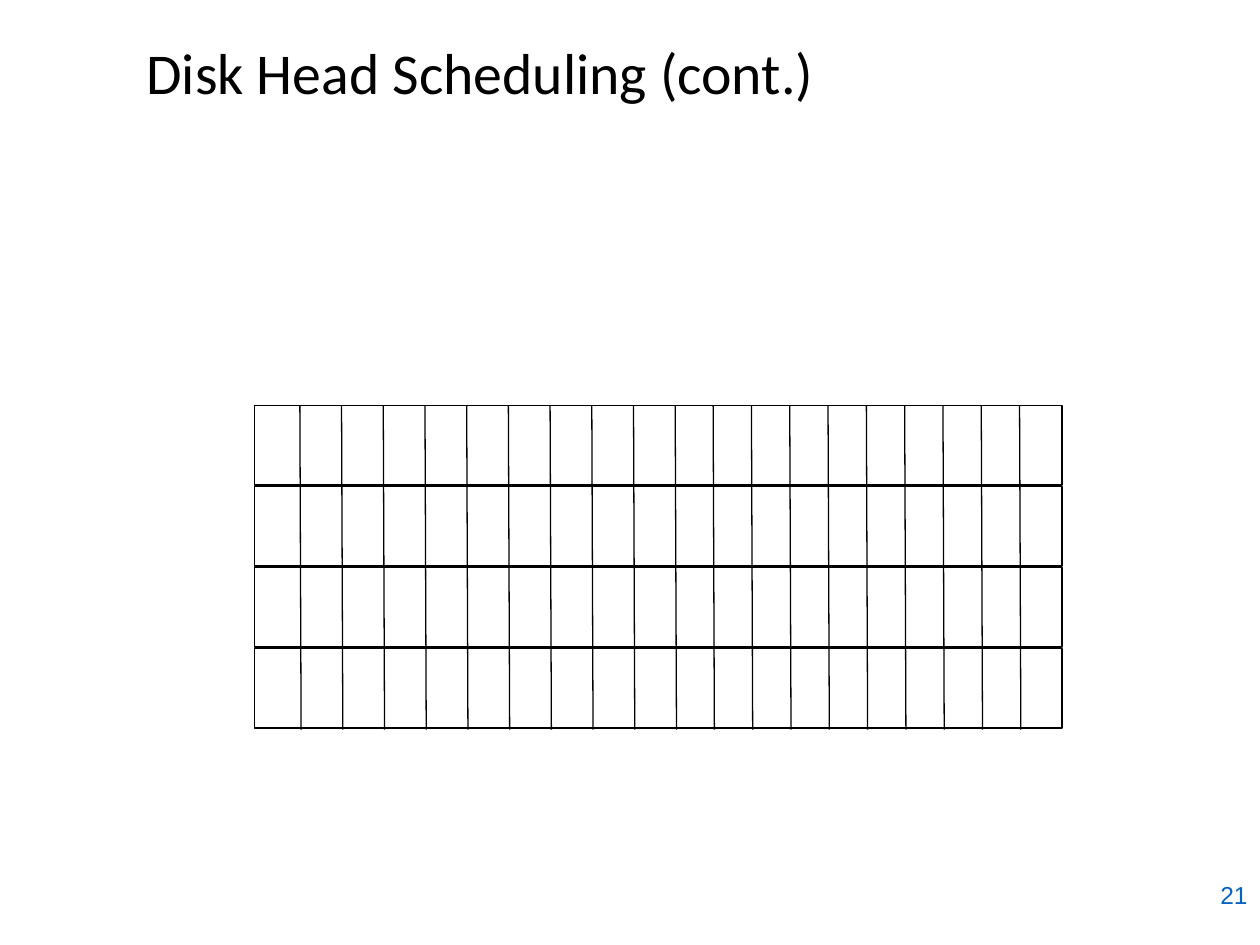
from lxml.etree import SubElement
from pptx import Presentation
from pptx.dml.color import RGBColor
from pptx.enum.shapes import MSO_CONNECTOR as Connector, MSO_SHAPE as Shape
from pptx.enum.text import MSO_ANCHOR as Anchor, PP_ALIGN as Align
from pptx.oxml.ns import qn
from pptx.util import Inches, Pt

COLORS = {"ink": "000000", "number": "0563C1"}

# Disk grid: tracks are rows, sectors are columns
LEFT, TOP, WIDTH = 2.02, 3.22, 6.41
TRACKS, TRACK_HEIGHT, TRACK_STEP = 4, 0.63, 0.643
DIVIDER_BOTTOM, DIVIDER_SLANT = 5.79, 0.01
WIDE_DIVIDERS = [2.38 + 0.331 * i for i in range(10)]
NARROW_DIVIDERS = [5.66 + 0.304 * i for i in range(9)]


def color(name):
    return RGBColor.from_string(COLORS[name])


def set_line(shape):
    shape.line.color.rgb = color("ink")
    shape.line.width = Pt(0.75)


def add_text(page, text, place, font, ink, align, insets=(0, 0), spacing=None):
    box = page.shapes.add_textbox(*map(Inches, place))
    frame = box.text_frame
    side, end = map(Inches, insets)
    frame_format = {
        "word_wrap": True, "vertical_anchor": Anchor.MIDDLE,
        "margin_left": side, "margin_right": side,
        "margin_top": end, "margin_bottom": end,
    }
    for name, value in frame_format.items():
        setattr(frame, name, value)
    para = frame.paragraphs[0]
    para.alignment = align
    para.line_spacing = spacing
    span = para.add_run()
    span.text = text
    for name, value in font.items():
        setattr(span.font, name, value)
    span.font.color.rgb = color(ink)


def add_track(group, top):
    track = group.shapes.add_shape(
        Shape.RECTANGLE, *map(Inches, (LEFT, top, WIDTH, TRACK_HEIGHT)))
    track.shadow.inherit = False
    track.fill.background()
    set_line(track)


def add_divider(group, x):
    ends = (x, TOP, x + DIVIDER_SLANT, DIVIDER_BOTTOM)
    divider = group.shapes.add_connector(Connector.STRAIGHT, *map(Inches, ends))
    set_line(divider)
    SubElement(divider._element.spPr, qn("a:effectLst"))


def main():
    deck = Presentation()
    deck.slide_width, deck.slide_height = Inches(10), Inches(7.5)
    page = deck.slides.add_slide(deck.slide_layouts[6])

    # Title and page number
    add_text(page, "Disk Head Scheduling (cont.)", (0.44, 0.3, 6.74, 0.6),
             {"name": "Calibri", "size": Pt(33)}, "ink", Align.CENTER,
             spacing=0.9)
    add_text(page, "21", (9.41, 6.85, 0.59, 0.5),
             {"name": "Arial", "size": Pt(14)}, "number", Align.RIGHT,
             insets=(0.1, 0.05))

    # Disk grid
    grid = page.shapes.add_group_shape()
    for row in range(TRACKS):
        add_track(grid, TOP + row * TRACK_STEP)
    for x in WIDE_DIVIDERS + NARROW_DIVIDERS:
        add_divider(grid, x)

    deck.save("out.pptx")


if __name__ == "__main__":
    main()
